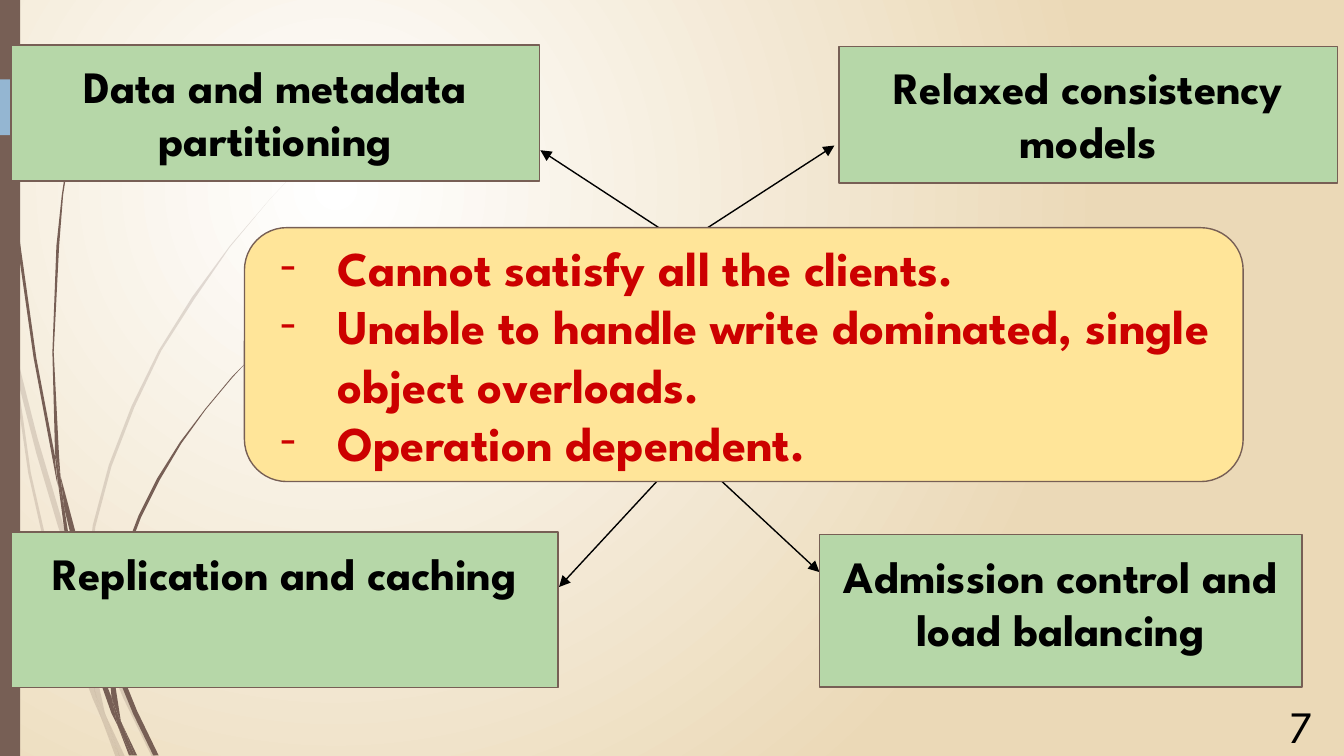
from dataclasses import dataclass

from lxml import etree
from pptx import Presentation
from pptx.dml.color import RGBColor
from pptx.enum import shapes, text
from pptx.oxml.ns import qn
from pptx.util import Pt

FONT = "League Spartan"
INSET = 7.2
GRID = Pt(0.72)  # stalk outlines are drawn on a grid of 0.72 pt
COLORS = {
    "white": "FFFFFF", "sand": "EBD9B7", "brown": "775F55", "blue": "94B6D2",
    "green": "B6D7A8", "yellow": "FFE599", "red": "CC0000", "black": "000000",
}


@dataclass
class Frame:
    left: float
    top: float
    width: float
    height: float


@dataclass
class Technique:
    label: str
    frame: Frame


@dataclass
class Arrow:
    start: tuple[float, float]
    end: tuple[float, float]


TECHNIQUES = [
    Technique("Data and metadata partitioning", Frame(6, 24, 283, 73)),
    Technique("Relaxed consistency models", Frame(449.5, 25, 267, 73)),
    Technique("Admission control and load balancing", Frame(439, 286.5, 258.5, 81.5)),
    Technique("Replication and caching", Frame(6, 285, 293, 83.5)),
]
ABOVE, BELOW = (366, 130.5), (368, 240.5)
ARROWS = [
    Arrow(BELOW, (439, 306.5)),
    Arrow(ABOVE, (447, 78)),
    Arrow(BELOW, (299.5, 314.5)),
    Arrow(ABOVE, (289.5, 80.5)),
]
LIMITS = [
    "Cannot satisfy all the clients.",
    "Unable to handle write dominated, single object overloads.",
    "Operation dependent.",
]
PALE_STALKS = [
    [(8, 263), (6, 241), (0, 211), (0, 224), (8, 258)],
    [(43, 391), (63, 449), (64, 440), (47, 390), (28, 326), (11, 259), (13, 282), (27, 337)],
    [(69, 455), (66, 447), (66, 458), (92, 520), (113, 563), (116, 563), (95, 519)],
    [(89, 563), (93, 563), (79, 533)],
    [(70, 512), (52, 464), (36, 409), (23, 352), (13, 282), (8, 263), (21, 352),
     (34, 410), (49, 466), (69, 520), (76, 536), (74, 530)],
    [(63, 449), (65, 485), (70, 512), (72, 519), (79, 533), (78, 530), (68, 484),
     (66, 458), (66, 456)],
    [(66, 438), (71, 392), (83, 347), (100, 303), (120, 261), (145, 222), (171, 184),
     (201, 148), (217, 131), (234, 115), (217, 131), (201, 148), (171, 183), (143, 221),
     (118, 261), (98, 302), (81, 346), (69, 391), (64, 438), (64, 440), (66, 447)],
    [(76, 536), (86, 563), (89, 563)],
    [(72, 519), (70, 512), (74, 530), (76, 536), (89, 563), (79, 533)],
]
DARK_STALKS = [
    [(5, 82), (12, 175), (25, 266), (42, 357), (43, 361), (41, 343), (41, 340),
     (27, 266), (14, 174), (6, 82), (3, 36), (3, 0), (2, 0), (3, 36)],
    [(66, 444), (80, 484), (80, 475), (80, 473), (70, 443), (57, 399), (45, 354),
     (48, 379), (56, 412)],
    [(85, 487), (83, 481), (83, 492), (99, 531), (114, 562), (118, 562), (102, 529)],
    [(83, 519), (73, 493), (62, 455), (54, 417), (48, 379), (43, 358), (51, 418),
     (59, 456), (70, 494), (83, 531), (88, 541), (87, 538)],
    [(45, 354), (44, 340), (40, 262), (44, 183), (47, 145), (53, 106), (52, 106),
     (46, 145), (42, 183), (39, 262), (41, 337)],
    [(100, 562), (102, 562), (91, 539)],
    [(43, 358), (48, 379), (45, 354), (41, 337), (41, 340)],
    [(83, 475), (86, 444), (94, 414), (105, 385), (119, 357), (135, 330), (153, 305),
     (173, 281), (184, 269), (196, 258), (195, 258), (184, 269), (173, 280), (153, 304),
     (134, 329), (117, 356), (103, 384), (92, 413), (84, 443), (80, 473), (83, 481)],
    [(88, 541), (96, 562), (98, 562)],
    [(80, 484), (83, 519), (87, 530), (91, 539), (90, 537), (83, 492), (81, 488)],
    [(87, 530), (83, 519), (87, 538), (88, 541), (98, 562), (100, 562), (91, 539)],
]


def color(name: str) -> RGBColor:
    return RGBColor.from_string(COLORS[name])


def paint(shape, fill: str, line: str | None = None) -> None:
    shape.fill.solid()
    shape.fill.fore_color.rgb = color(fill)
    if line:
        shape.line.color.rgb = color(line)
        shape.line.width = Pt(0.75)
    else:
        shape.line.fill.background()


def place(shape, frame: Frame) -> None:
    shape.left, shape.top = Pt(frame.left), Pt(frame.top)
    shape.width, shape.height = Pt(frame.width), Pt(frame.height)


def add_box(page, kind, frame: Frame, fill: str, line: str | None = None):
    box = page.shapes.add_shape(kind, 0, 0, 0, 0)
    place(box, frame)
    box.shadow.inherit = False
    paint(box, fill, line)
    return box


def set_up_text(shape, anchor=text.MSO_ANCHOR.TOP):
    frame = shape.text_frame
    frame.word_wrap = True
    frame.auto_size = text.MSO_AUTO_SIZE.NONE
    frame.vertical_anchor = anchor
    frame.margin_left = frame.margin_right = Pt(INSET)
    frame.margin_top = frame.margin_bottom = Pt(INSET)
    return frame


def style(para, size: float, ink: str, align, bold: bool = True) -> None:
    para.alignment = align
    para.space_before = Pt(0)
    for span in para.runs:
        span.font.name = FONT
        span.font.size = Pt(size)
        span.font.bold = bold
        span.font.color.rgb = color(ink)


def paint_background(page) -> None:
    """Spread light from the upper left of the page."""
    fill = page.background.fill
    fill.gradient()
    for stop, name in zip(fill.gradient_stops, ("white", "sand")):
        stop.color.rgb = color(name)
    gradient = page.element.find(".//" + qn("a:gradFill"))
    glow = etree.Element(qn("a:path"), path="circle")
    etree.SubElement(glow, qn("a:fillToRect"), l="50000", t="50000", r="100000", b="100000")
    gradient.replace(gradient.find(qn("a:lin")), glow)


def add_stalk(page, points: list[tuple[int, int]], opacity: int) -> None:
    builder = page.shapes.build_freeform(*points[0], scale=GRID)
    builder.add_line_segments(points[1:], close=True)
    stalk = builder.convert_to_shape()
    stalk.shadow.inherit = False
    paint(stalk, "brown")
    tint = stalk.element.spPr.find(".//" + qn("a:srgbClr"))
    etree.SubElement(tint, qn("a:alpha"), val=str(opacity * 1000))


def add_arrow(page, arrow: Arrow) -> None:
    ends = [Pt(value) for value in arrow.start + arrow.end]
    line = page.shapes.add_connector(shapes.MSO_CONNECTOR.STRAIGHT, *ends)
    line.line.color.rgb = color("black")
    line.line.width = Pt(0.75)
    etree.SubElement(line.line._get_or_add_ln(), qn("a:tailEnd"), type="triangle")
    etree.SubElement(line.element.spPr, qn("a:effectLst"))


def add_technique(page, technique: Technique) -> None:
    box = add_box(page, shapes.MSO_SHAPE.RECTANGLE, technique.frame, "green", "brown")
    frame = set_up_text(box)
    frame.text = technique.label
    style(frame.paragraphs[0], 24, "black", text.PP_ALIGN.CENTER)


def fill_limits(page, body) -> None:
    """Turn the body placeholder into the rounded central list."""
    page.shapes.element.append(body.element)
    place(body, Frame(131, 122, 535, 136))
    outline = etree.SubElement(body.element.spPr, qn("a:prstGeom"), prst="roundRect")
    etree.SubElement(outline, qn("a:avLst"))
    paint(body, "yellow", "brown")
    frame = set_up_text(body, text.MSO_ANCHOR.MIDDLE)
    frame.text = "\n".join(LIMITS)
    for para in frame.paragraphs:
        props = para._p.get_or_add_pPr()
        props.set("marL", str(Pt(36)))
        props.set("indent", str(Pt(-31)))
        ink = etree.SubElement(props, qn("a:buClr"))
        etree.SubElement(ink, qn("a:srgbClr"), val=COLORS["red"])
        etree.SubElement(props, qn("a:buFont"), typeface=FONT)
        etree.SubElement(props, qn("a:buChar"), char="-")
        style(para, 26, "red", text.PP_ALIGN.LEFT)


def add_page_number(page, number: int) -> None:
    box = page.shapes.add_textbox(Pt(667.5), Pt(367), Pt(43), Pt(31))
    frame = set_up_text(box)
    frame.text = str(number)
    style(frame.paragraphs[0], 24, "black", text.PP_ALIGN.RIGHT, bold=False)


def main() -> None:
    deck = Presentation()
    deck.slide_width, deck.slide_height = Pt(720), Pt(405)
    page = deck.slides.add_slide(deck.slide_layouts[1])
    title, body = page.placeholders
    title.element.getparent().remove(title.element)

    paint_background(page)
    for stalks, opacity in ((PALE_STALKS, 20), (DARK_STALKS, 100)):
        for points in stalks:
            add_stalk(page, points, opacity)
    add_box(page, shapes.MSO_SHAPE.RECTANGLE, Frame(0, 0, 10.8, 405), "brown")
    add_box(page, shapes.MSO_SHAPE.PENTAGON, Frame(0, 42.5, 94, 30), "blue")
    for arrow in ARROWS:
        add_arrow(page, arrow)
    for technique in TECHNIQUES:
        add_technique(page, technique)
    fill_limits(page, body)
    add_page_number(page, 7)
    deck.save("out.pptx")


if __name__ == "__main__":
    main()
